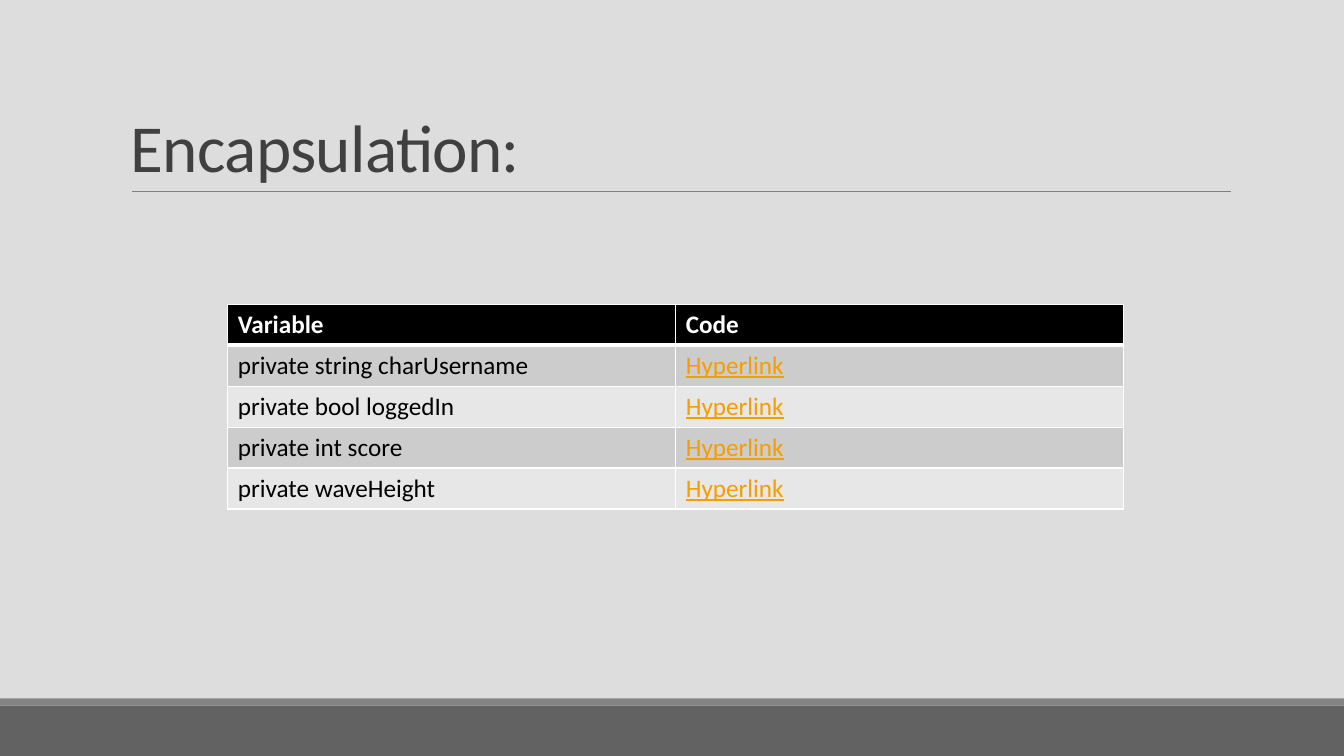
"""Build the encapsulation slide: a ruled title, a table of variables and a footer band."""
from dataclasses import dataclass

import lxml.etree
import pptx
import pptx.dml.color
import pptx.enum.shapes
import pptx.enum.text
import pptx.oxml.ns
import pptx.util

RGBColor = pptx.dml.color.RGBColor
BACKGROUND = RGBColor(0xDD, 0xDD, 0xDD)
FOOTER_DARK = RGBColor(0x62, 0x62, 0x62)
FOOTER_LIGHT = RGBColor(0x83, 0x83, 0x83)
RULE = RGBColor(0x80, 0x80, 0x80)
TITLE = RGBColor(0x40, 0x40, 0x40)
WHITE = RGBColor(0xFF, 0xFF, 0xFF)
BLACK = RGBColor(0, 0, 0)
LINK = RGBColor(0xF5, 0x9E, 0x00)
BANDS = (RGBColor(0xCC, 0xCC, 0xCC), RGBColor(0xE7, 0xE7, 0xE7))

FONT = "Calibri"
GRID_COLUMNS, GRID_ROWS = 120, 75
SLIDE_WIDTH, SLIDE_HEIGHT = pptx.util.Inches(40 / 3), pptx.util.Inches(7.5)
HEADINGS = ("Variable", "Code")
VARIABLES = (
    "private string charUsername",
    "private bool loggedIn",
    "private int score",
    "private waveHeight",
)


@dataclass(frozen=True)
class Area:
    """A rectangle measured in grid columns and rows."""

    left: float
    top: float
    width: float
    height: float

    def box(self) -> tuple[int, int, int, int]:
        """Return left, top, width and height as slide lengths."""
        return (across(self.left), down(self.top), across(self.width), down(self.height))


@dataclass(frozen=True)
class Band:
    """A filled strip across the slide."""

    area: Area
    color: RGBColor


FOOTER_BANDS = (
    Band(Area(0, 70, GRID_COLUMNS, 5), FOOTER_DARK),
    Band(Area(0, 69.3, GRID_COLUMNS, 0.7), FOOTER_LIGHT),
)
RULE_AREA = Area(11.79, 19, 98.1, 0)
TITLE_AREA = Area(10.8, 3.1, 99, 15.9)
TABLE_AREA = Area(20.34, 30.2, 80, 20.3)


def across(columns: float) -> int:
    """Turn grid columns into a slide length."""
    return round(SLIDE_WIDTH * columns / GRID_COLUMNS)


def down(rows: float) -> int:
    """Turn grid rows into a slide length."""
    return round(SLIDE_HEIGHT * rows / GRID_ROWS)


def write(frame, text: str, *, size: float = 18, color: RGBColor = BLACK, bold: bool = False,
          underline: bool = False, line_spacing: float = 1, tracking: float = 0) -> None:
    """Put one formatted paragraph into a text frame."""
    paragraph = frame.paragraphs[0]
    paragraph.line_spacing = line_spacing
    run = paragraph.add_run()
    run.text = text
    run.font.name = FONT
    run.font.size = pptx.util.Pt(size)
    run.font.color.rgb = color
    run.font.bold = bold
    run.font.underline = underline
    if tracking:
        run.font._element.set("spc", str(round(tracking * 100)))


def draw_band(slide, band: Band) -> None:
    """Draw a plain filled strip."""
    shape = slide.shapes.add_shape(pptx.enum.shapes.MSO_SHAPE.RECTANGLE, *band.area.box())
    shape.shadow.inherit = False
    shape.fill.solid()
    shape.fill.fore_color.rgb = band.color
    shape.line.fill.background()


def draw_rule(slide, area: Area) -> None:
    """Draw the thin line under the title."""
    left, top, width, height = area.box()
    rule = slide.shapes.add_connector(
        pptx.enum.shapes.MSO_CONNECTOR.STRAIGHT, left, top, left + width, top + height)
    rule.line.color.rgb = RULE
    rule.line.width = pptx.util.Pt(0.5)
    lxml.etree.SubElement(rule._element.spPr, pptx.oxml.ns.qn("a:effectLst"))


def draw_title(slide, text: str) -> None:
    """Draw the title, resting on the rule."""
    frame = slide.shapes.add_textbox(*TITLE_AREA.box()).text_frame
    frame.word_wrap = True
    frame.vertical_anchor = pptx.enum.text.MSO_ANCHOR.BOTTOM
    write(frame, text, size=48, color=TITLE, line_spacing=0.85, tracking=-0.5)


def set_border(cell, side: str, width: float) -> None:
    """Add a white border to one side of a cell."""
    name = pptx.oxml.ns.qn
    properties = cell._tc.get_or_add_tcPr()
    line = lxml.etree.SubElement(properties, name(f"a:ln{side}"), w=str(pptx.util.Pt(width)))
    fill = lxml.etree.SubElement(line, name("a:solidFill"))
    lxml.etree.SubElement(fill, name("a:srgbClr"), val=str(WHITE))


def draw_table(slide) -> None:
    """Draw the headed table of variables and their code links."""
    rows = [HEADINGS, *((variable, "Hyperlink") for variable in VARIABLES)]
    table = slide.shapes.add_table(len(rows), len(HEADINGS), *TABLE_AREA.box()).table
    for row, texts in enumerate(rows):
        header = row == 0
        for column, text in enumerate(texts):
            cell = table.cell(row, column)
            link = not header and column == 1
            color = WHITE if header else LINK if link else BLACK
            write(cell.text_frame, text, color=color, bold=header, underline=link)
            for side in "LRTB":
                heavy = (row, side) in ((0, "B"), (1, "T"))
                set_border(cell, side, 3 if heavy else 1)
            cell.fill.solid()
            cell.fill.fore_color.rgb = BLACK if header else BANDS[(row - 1) % len(BANDS)]


def main() -> None:
    """Build and save the presentation."""
    presentation = pptx.Presentation()
    presentation.slide_width, presentation.slide_height = SLIDE_WIDTH, SLIDE_HEIGHT
    slide = presentation.slides.add_slide(presentation.slide_layouts[6])
    slide.background.fill.solid()
    slide.background.fill.fore_color.rgb = BACKGROUND
    for band in FOOTER_BANDS:
        draw_band(slide, band)
    draw_rule(slide, RULE_AREA)
    draw_title(slide, "Encapsulation:")
    draw_table(slide)
    presentation.save("out.pptx")


if __name__ == "__main__":
    main()
